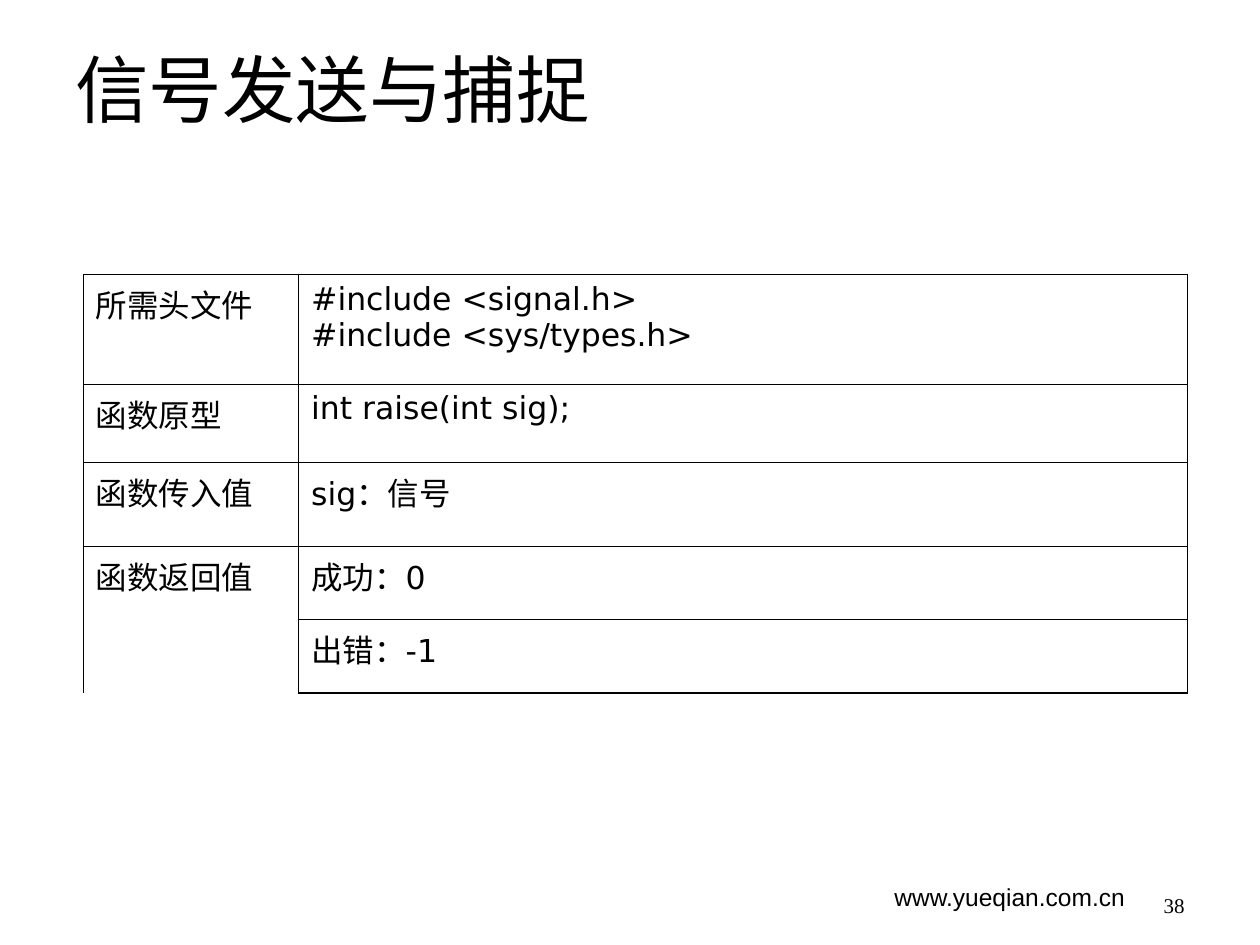
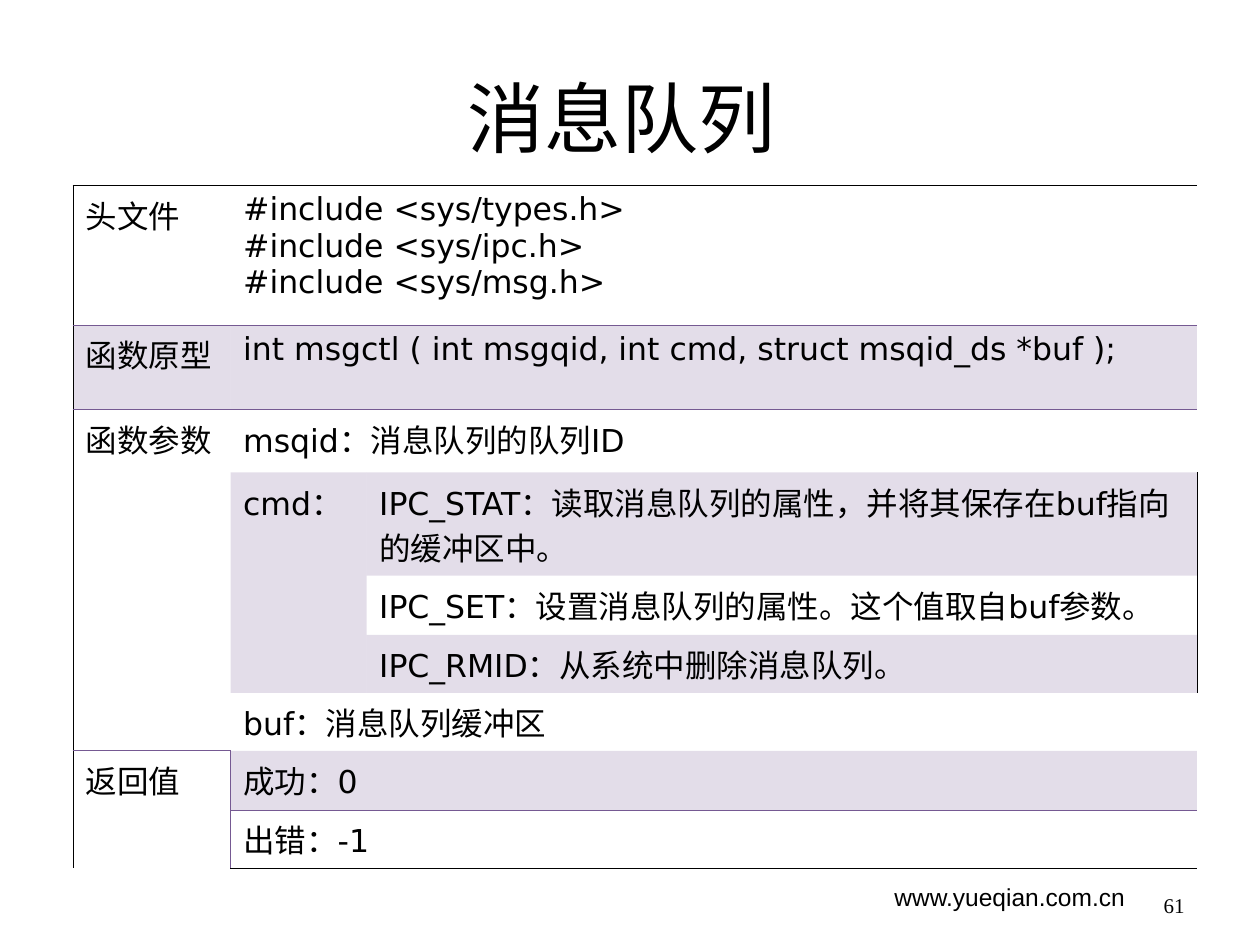
from lxml import etree
from pptx import Presentation
from pptx.dml.color import RGBColor
from pptx.enum.shapes import MSO_CONNECTOR
from pptx.enum.text import MSO_ANCHOR, PP_ALIGN
from pptx.oxml.ns import qn
from pptx.util import Inches, Pt

LEFT, CENTER, RIGHT = PP_ALIGN.LEFT, PP_ALIGN.CENTER, PP_ALIGN.RIGHT
TOP, MIDDLE, BOTTOM = MSO_ANCHOR.TOP, MSO_ANCHOR.MIDDLE, MSO_ANCHOR.BOTTOM
STRAIGHT = MSO_CONNECTOR.STRAIGHT

WIDTH, HEIGHT = 10, 7.5
MARGIN = 0.05 * WIDTH
BLACK, PURPLE = "000000", "755992"
BAND_ALPHA = 20000
THIN, THICK = 0.45, 0.96
NO_STYLE = "{2D5ABB26-0587-4C30-8999-92F81FD0307C}"
CELL_FONT = {"name": "DejaVu Sans", "size": Pt(18)}
SITE_FONT = {"name": "Arial", "size": Pt(14)}
NUMBER_FONT = {"name": "Times New Roman", "size": Pt(12)}

# Each cell: row, column, row span, column span, text, shaded, purple sides
SLIDES = [
    {
        "title": "信号发送与捕捉", "size": 42, "align": LEFT, "anchor": TOP, "number": "38",
        "origin": (0.66, 2.18), "columns": [1.71, 7.05],
        "rows": [0.87, 0.62, 0.67, 0.58, 0.58],
        "ruled": True, "edge": THICK, "dots": [(3.71, 4.4, 1)],
        "cells": [
            (0, 0, 1, 1, "所需头文件", False, ""),
            (0, 1, 1, 1, "#include <signal.h>\n#include <sys/types.h>", False, ""),
            (1, 0, 1, 1, "函数原型", False, ""),
            (1, 1, 1, 1, "int raise(int sig);", False, ""),
            (2, 0, 1, 1, "函数传入值", False, ""),
            (2, 1, 1, 1, "sig：信号", False, ""),
            (3, 0, 2, 1, "函数返回值", False, ""),
            (3, 1, 1, 1, "成功：0", False, ""),
            (4, 1, 1, 1, "出错：-1", False, ""),
        ],
    },
    {
        "title": "消息队列 ", "size": 44, "align": CENTER, "anchor": MIDDLE, "number": "61",
        "origin": (0.58, 1.47), "columns": [1.25, 1.08, 6.59],
        "rows": [1.11, 0.67, 0.5, 0.82, 0.47, 0.46, 0.46, 0.47, 0.46],
        "ruled": False, "edge": THIN,
        "dots": [(3.65, 2.99, 1), (3.65, 3.4, 0.75), (3.65, 4.54, 1), (3.76, 2.71, 1),
                 (3.76, 3.01, 0.75), (3.76, 4.14, 1), (3.37, 4.02, 1)],
        "cells": [
            (0, 0, 1, 1, "头文件", False, "B"),
            (0, 1, 1, 2, "#include <sys/types.h>\n#include <sys/ipc.h>\n#include <sys/msg.h>",
             False, "B"),
            (1, 0, 1, 1, "函数原型", True, "T"),
            (1, 1, 1, 2, "int msgctl ( int msgqid, int cmd, struct msqid_ds *buf );", True, "T"),
            (2, 0, 5, 1, "函数参数", False, "B"),
            (2, 1, 1, 2, "msqid：消息队列的队列ID", False, ""),
            (3, 1, 3, 1, "cmd：", True, ""),
            (3, 2, 1, 1, "IPC_STAT：读取消息队列的属性，并将其保存在buf指向的缓冲区中。", True, ""),
            (4, 2, 1, 1, "IPC_SET：设置消息队列的属性。这个值取自buf参数。", False, ""),
            (5, 2, 1, 1, "IPC_RMID：从系统中删除消息队列。", True, ""),
            (6, 1, 1, 2, "buf：消息队列缓冲区", False, ""),
            (7, 0, 2, 1, "返回值", False, "T"),
            (7, 1, 1, 2, "成功：0", True, "LB"),
            (8, 1, 1, 2, "出错：-1", False, "T"),
        ],
    },
]


def color(hex_string):
    return RGBColor.from_string(hex_string)


def write(frame, text, font, align=LEFT, anchor=TOP):
    frame.text = text
    frame.word_wrap = True
    frame.vertical_anchor = anchor
    for paragraph in frame.paragraphs:
        paragraph.alignment = align
        for name, value in font.items():
            setattr(paragraph.font, name, value)
        paragraph.font.color.rgb = color(BLACK)


presentation = Presentation()
presentation.slide_width, presentation.slide_height = Inches(WIDTH), Inches(HEIGHT)

for content in SLIDES:
    slide = presentation.slides.add_slide(presentation.slide_layouts[6])

    # Site address, title and page number
    title_font = {"name": "Arial", "size": Pt(content["size"])}
    text_boxes = [
        ((0.7 * WIDTH, 6.95, 0.25 * WIDTH, 0.4), "www.yueqian.com.cn", SITE_FONT, LEFT, TOP),
        ((MARGIN, 0.04 * HEIGHT, WIDTH - 2 * MARGIN, HEIGHT / 6), content["title"], title_font,
         content["align"], content["anchor"]),
        ((7.17, 6.83, 2.33, 0.5), content["number"], NUMBER_FONT, RIGHT, BOTTOM),
    ]
    for box, text, font, align, anchor in text_boxes:
        shape = slide.shapes.add_textbox(*map(Inches, box))
        write(shape.text_frame, text, font, align, anchor)

    # Small dots
    for x, y, weight in content["dots"]:
        dot = slide.shapes.add_connector(STRAIGHT, *map(Inches, (x, y, x, y)))
        dot.line.color.rgb = color(BLACK)
        dot.line.width = Pt(weight)
        etree.SubElement(dot._element.spPr, qn("a:effectLst"))

    # Table grid
    columns, rows = content["columns"], content["rows"]
    size = (sum(columns), sum(rows))
    frame = slide.shapes.add_table(len(rows), len(columns),
                                   *map(Inches, content["origin"] + size))
    table = frame.table
    table.first_row = table.horz_banding = False
    table._tbl.tblPr.find(qn("a:tableStyleId")).text = NO_STYLE
    for column, width in zip(table.columns, columns):
        column.width = Inches(width)
    for row, height in zip(table.rows, rows):
        row.height = Inches(height)

    # Cells: text, borders on the outside of each span, fill
    for top, left, row_span, column_span, text, shaded, purple_sides in content["cells"]:
        bottom, right = top + row_span - 1, left + column_span - 1
        origin = table.cell(top, left)
        if row_span * column_span > 1:
            origin.merge(table.cell(bottom, right))
        write(origin.text_frame, text, CELL_FONT)

        for row in range(top, bottom + 1):
            for column in range(left, right + 1):
                cell = table.cell(row, column)
                properties = cell._tc.get_or_add_tcPr()
                sides = {
                    "L": (column == left, column == 0, THIN),
                    "R": (column == right, column == len(columns) - 1, THIN),
                    "T": (row == top, row == 0, content["edge"]),
                    "B": (row == bottom, row == len(rows) - 1, content["edge"]),
                }
                for side, (on_span_edge, on_table_edge, edge_weight) in sides.items():
                    drawn = on_table_edge or content["ruled"] or side in purple_sides
                    if not (on_span_edge and drawn):
                        continue
                    weight = edge_weight if on_table_edge else THIN
                    line_color = BLACK if on_table_edge or content["ruled"] else PURPLE
                    line = etree.SubElement(properties, qn("a:ln" + side), w=str(Pt(weight)))
                    fill = etree.SubElement(line, qn("a:solidFill"))
                    etree.SubElement(fill, qn("a:srgbClr"), val=line_color)

                if shaded:
                    cell.fill.solid()
                    cell.fill.fore_color.rgb = color(PURPLE)
                    tint = properties.find(qn("a:solidFill"))[0]
                    etree.SubElement(tint, qn("a:alpha"), val=str(BAND_ALPHA))
                else:
                    cell.fill.background()

presentation.save("out.pptx")
